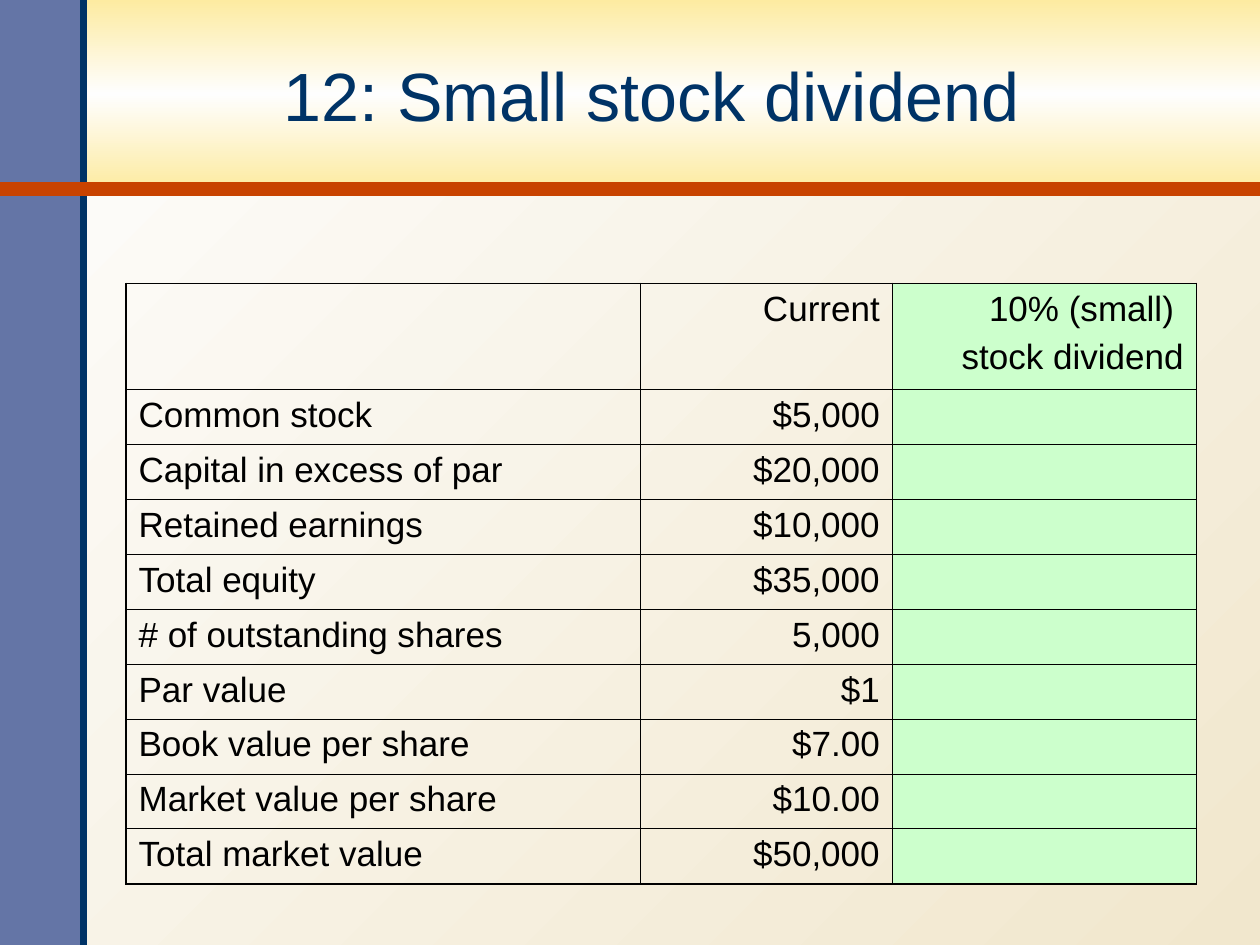
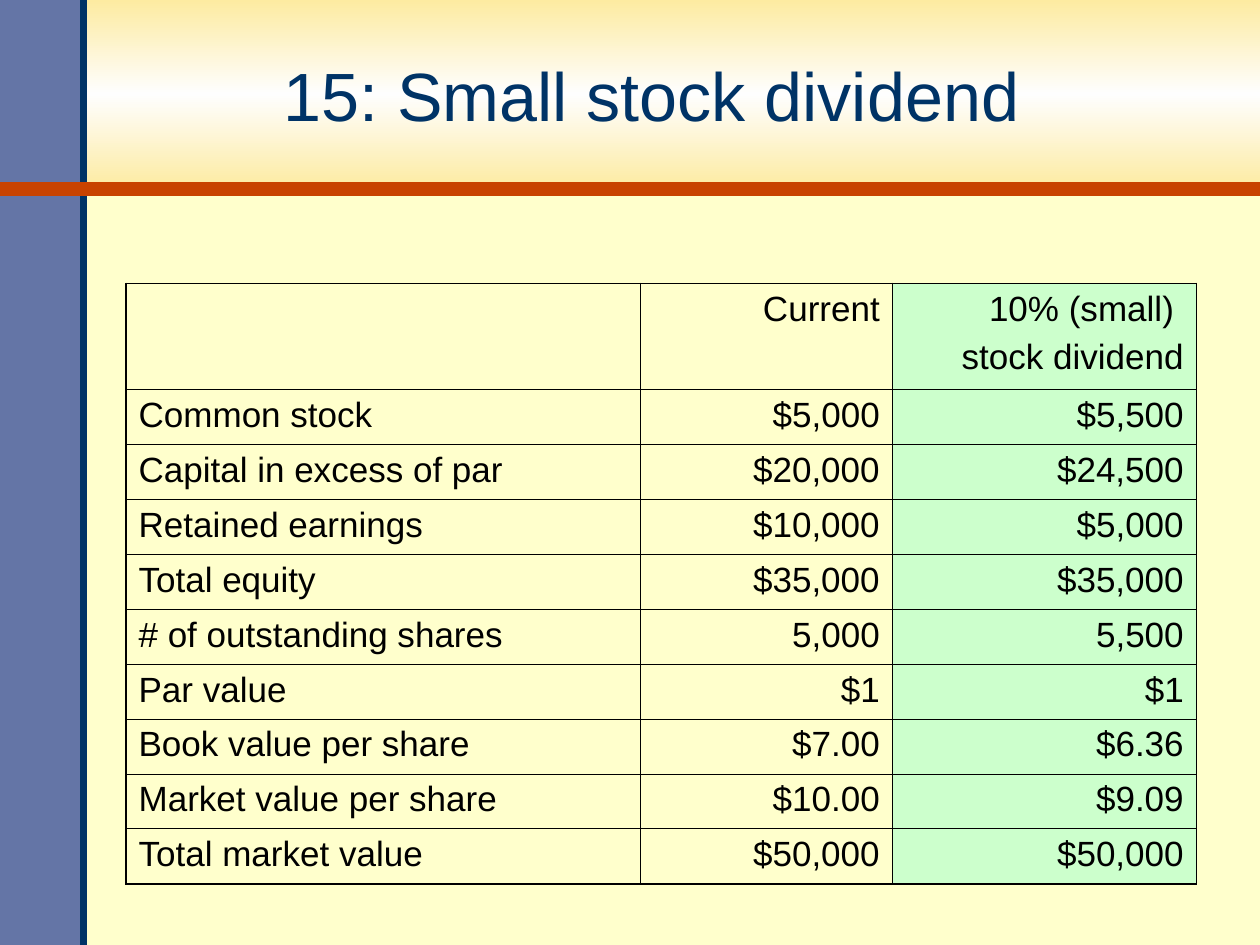
from copy import deepcopy
from dataclasses import dataclass

from lxml.etree import SubElement
from pptx import Presentation
from pptx.dml.color import RGBColor
from pptx.dml.fill import FillFormat
from pptx.enum.shapes import MSO_CONNECTOR as Connector, MSO_SHAPE as Shape
from pptx.enum.text import MSO_ANCHOR as Anchor, PP_ALIGN as Align
from pptx.oxml.ns import qn
from pptx.util import Pt

COLOURS = {
    "cream": "FEFEFE",
    "gold": "FDEBA1",
    "sand": "F1E7CD",
    "pale_yellow": "FFFFCC",
    "slate": "6475A6",
    "navy": "003366",
    "rust": "C84300",
    "mint": "CCFFCC",
    "black": "000000",
}
FONT = "Arial"
SLIDE_WIDTH, SLIDE_HEIGHT = 720, 540
TITLE_BAND_HEIGHT = 108
SIDE_BAND_WIDTH = 48

COLUMN_WIDTHS = (294, 144, 173.7)
HEADER_HEIGHT, ROW_HEIGHT = 60.6, 31.4
INNER_BORDER, OUTER_BORDER = 0.45, 1.08

HEADERS = ("", "Current", "10% (small) \nstock dividend")
CURRENT_VALUES = (
    ("Common stock", "$5,000"),
    ("Capital in excess of par", "$20,000"),
    ("Retained earnings", "$10,000"),
    ("Total equity", "$35,000"),
    ("# of outstanding shares", "5,000"),
    ("Par value", "$1"),
    ("Book value per share", "$7.00"),
    ("Market value per share", "$10.00"),
    ("Total market value", "$50,000"),
)


@dataclass(frozen=True)
class DividendSlide:
    title: str
    background: tuple[str, ...]
    dividend_values: tuple[str, ...]


@dataclass(frozen=True)
class Rule:
    start: tuple[float, float]
    end: tuple[float, float]
    colour: str
    width: float


RULES = (
    Rule((SIDE_BAND_WIDTH, SLIDE_HEIGHT), (SIDE_BAND_WIDTH, 0), "navy", 4),
    Rule((0, TITLE_BAND_HEIGHT), (SLIDE_WIDTH, TITLE_BAND_HEIGHT), "rust", 8),
)
SLIDES = (
    DividendSlide("12: Small stock dividend", ("sand", "cream"), ("",) * len(CURRENT_VALUES)),
    DividendSlide(
        "15: Small stock dividend",
        ("pale_yellow",),
        ("$5,500", "$24,500", "$5,000", "$35,000", "5,500", "$1", "$6.36", "$9.09", "$50,000"),
    ),
)


def rgb(name: str) -> RGBColor:
    return RGBColor.from_string(COLOURS[name])


def apply_fill(fill: FillFormat, element, colours: tuple[str, ...], angle: float = 0) -> None:
    """Fill with one colour, or with evenly spaced gradient stops (angle runs anticlockwise)."""
    if len(colours) == 1:
        fill.solid()
        fill.fore_color.rgb = rgb(colours[0])
        return
    fill.gradient()
    fill.gradient_angle = angle
    stop_list = element.find(".//" + qn("a:gsLst"))
    while len(stop_list) < len(colours):
        stop_list.append(deepcopy(stop_list[0]))
    for index, (stop, colour) in enumerate(zip(fill.gradient_stops, colours)):
        stop.color.rgb = rgb(colour)
        stop.position = index / (len(colours) - 1)


def add_band(slide, width: float, height: float, colours: tuple[str, ...]) -> None:
    shape = slide.shapes.add_shape(Shape.RECTANGLE, Pt(0), Pt(0), Pt(width), Pt(height))
    shape.shadow.inherit = False
    shape.line.fill.background()
    apply_fill(shape.fill, shape.element, colours, angle=270)


def add_rule(slide, rule: Rule) -> None:
    points = [Pt(value) for value in (*rule.start, *rule.end)]
    connector = slide.shapes.add_connector(Connector.STRAIGHT, *points)
    connector.line.color.rgb = rgb(rule.colour)
    connector.line.width = Pt(rule.width)
    SubElement(connector.element.spPr, qn("a:effectLst"))


def write_text(text_frame, text: str, size: float, colour: str, alignment: Align) -> None:
    """Write each line as a paragraph, with space only between paragraphs."""
    for index, line in enumerate(text.split("\n")):
        paragraph = text_frame.add_paragraph() if index else text_frame.paragraphs[0]
        paragraph.alignment = alignment
        paragraph.space_before = Pt(5 if index else 0)
        run = paragraph.add_run()
        run.text = line
        run.font.name = FONT
        run.font.size = Pt(size)
        run.font.color.rgb = rgb(colour)


def add_title(slide, title: str) -> None:
    box = slide.shapes.add_textbox(Pt(46.8), Pt(10.8), Pt(650.9), Pt(86.4))
    box.text_frame.word_wrap = True
    box.text_frame.vertical_anchor = Anchor.MIDDLE
    write_text(box.text_frame, title, 39, "navy", Align.CENTER)


def set_borders(cell, outer_sides: dict[str, bool]) -> None:
    properties = cell._tc.get_or_add_tcPr()
    for side, is_outer in outer_sides.items():
        width = Pt(OUTER_BORDER if is_outer else INNER_BORDER)
        line = SubElement(properties, qn(f"a:ln{side}"), w=str(int(width)))
        fill = SubElement(line, qn("a:solidFill"))
        SubElement(fill, qn("a:srgbClr"), val=COLOURS["black"])


def add_equity_table(slide, dividend_values: tuple[str, ...]) -> None:
    rows = [HEADERS]
    rows += [(*current, value) for current, value in zip(CURRENT_VALUES, dividend_values)]
    heights = [HEADER_HEIGHT] + [ROW_HEIGHT] * len(CURRENT_VALUES)
    frame = slide.shapes.add_table(
        len(rows), len(HEADERS), Pt(72), Pt(162), Pt(sum(COLUMN_WIDTHS)), Pt(sum(heights))
    )
    table = frame.table
    table.first_row = table.horz_banding = False
    for column, width in zip(table.columns, COLUMN_WIDTHS):
        column.width = Pt(width)
    for row, height in zip(table.rows, heights):
        row.height = Pt(height)

    last_row, last_column = len(rows) - 1, len(HEADERS) - 1
    for row_index, values in enumerate(rows):
        for column_index, value in enumerate(values):
            cell = table.cell(row_index, column_index)
            set_borders(cell, {
                "L": column_index == 0,
                "R": column_index == last_column,
                "T": row_index == 0,
                "B": row_index == last_row,
            })
            if column_index == last_column:
                cell.fill.solid()
                cell.fill.fore_color.rgb = rgb("mint")
            else:
                cell.fill.background()
            if value:
                alignment = Align.RIGHT if column_index else Align.LEFT
                write_text(cell.text_frame, value, 20, "black", alignment)


def build_slide(presentation, content: DividendSlide) -> None:
    slide = presentation.slides.add_slide(presentation.slide_layouts[6])
    apply_fill(slide.background.fill, slide.element, content.background, angle=135)
    add_band(slide, SLIDE_WIDTH, TITLE_BAND_HEIGHT, ("gold", "cream", "gold"))
    add_band(slide, SIDE_BAND_WIDTH, SLIDE_HEIGHT, ("slate",))
    for rule in RULES:
        add_rule(slide, rule)
    add_title(slide, content.title)
    add_equity_table(slide, content.dividend_values)


def main() -> None:
    presentation = Presentation()
    presentation.slide_width = Pt(SLIDE_WIDTH)
    presentation.slide_height = Pt(SLIDE_HEIGHT)
    for content in SLIDES:
        build_slide(presentation, content)
    presentation.save("out.pptx")


if __name__ == "__main__":
    main()
